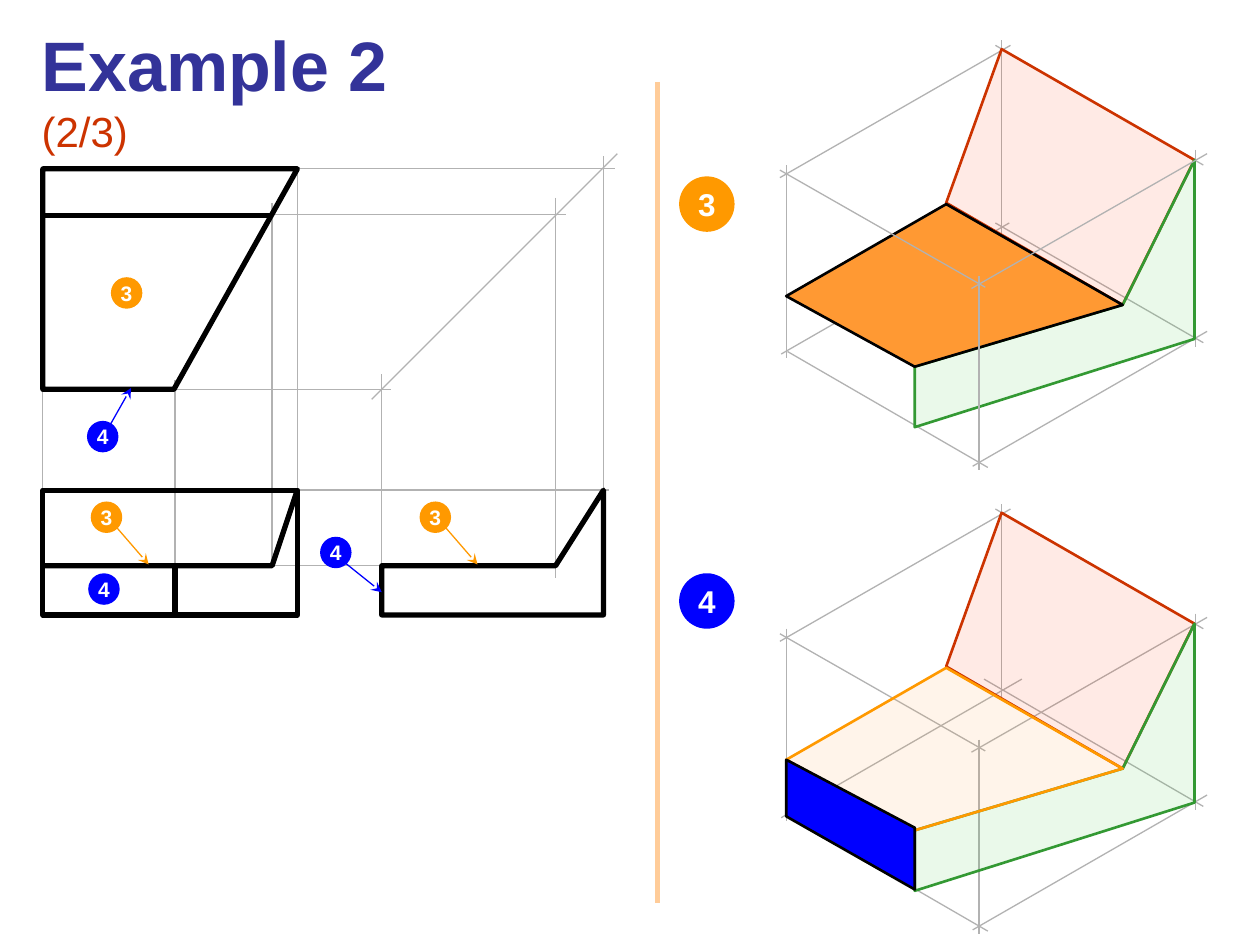
from dataclasses import dataclass
from typing import NamedTuple, Optional

from pptx import Presentation
from pptx.dml.color import RGBColor as RGB
from pptx.enum.shapes import MSO_CONNECTOR as Conn, MSO_SHAPE as Shape
from pptx.enum.text import MSO_ANCHOR as Anchor, MSO_AUTO_SIZE as AutoSize, PP_ALIGN as Align
from pptx.oxml.ns import qn
from pptx.util import Pt
from lxml.etree import SubElement

PX = 9144


@dataclass(frozen=True)
class Theme:
    font: str = "Arial"
    title: str = "333399"
    ink: str = "000000"
    white: str = "FFFFFF"
    guide: str = "B2B2B2"
    divider: str = "FFCC99"
    orange: str = "FF9900"
    blue: str = "0000FF"
    top_fill: str = "FF9933"
    back_fill: str = "FF3300"
    back_edge: str = "CC3300"
    side_fill: str = "33CC33"
    side_edge: str = "339933"
    title_pt: int = 40
    part_pt: int = 24
    big_pt: int = 18
    small_pt: int = 12
    thin: float = 0.75
    edge: float = 1.5
    thick: float = 3


T = Theme()


class Line(NamedTuple):
    x1: int
    y1: int
    x2: int
    y2: int
    color: str = T.guide
    width: float = T.thin
    arrow: bool = False


class Badge(NamedTuple):
    x: int
    y: int
    text: str
    size: int = 25
    pt: int = T.small_pt


class Face(NamedTuple):
    points: list[tuple[int, int]]
    edge: str = T.ink
    width: float = T.edge
    fill: Optional[str] = None
    alpha: int = 100
    close: bool = True


def draw_line(shapes, line: Line, dy: int = 0) -> None:
    """Draw a straight line, with a stealth arrowhead if asked."""
    ends = (line.x1, line.y1 + dy, line.x2, line.y2 + dy)
    c = shapes.add_connector(Conn.STRAIGHT, *(v * PX for v in ends))
    c.line.color.rgb = RGB.from_string(line.color)
    c.line.width = Pt(line.width)
    if line.arrow:
        SubElement(c.line._get_or_add_ln(), qn("a:tailEnd"), type="stealth")
    SubElement(c.element.spPr, qn("a:effectLst"))


def draw_face(shapes, face: Face, dy: int = 0) -> None:
    """Draw a polygon or an open polyline with round corners."""
    (x, y), *rest = [(x, y + dy) for x, y in face.points]
    fb = shapes.build_freeform(x, y, scale=PX)
    fb.add_line_segments(rest, close=face.close)
    sp = fb.convert_to_shape()
    sp.shadow.inherit = False
    if face.fill:
        sp.fill.solid()
        sp.fill.fore_color.rgb = RGB.from_string(face.fill)
        color = sp.element.spPr.find(qn("a:solidFill")).find(qn("a:srgbClr"))
        SubElement(color, qn("a:alpha"), val=str(face.alpha * 1000))
    else:
        sp.fill.background()
    sp.line.color.rgb = RGB.from_string(face.edge)
    sp.line.width = Pt(face.width)
    SubElement(sp.line._get_or_add_ln(), qn("a:round"))


def add_text(p, text: str, *, pt: int, color: str, bold: bool = True) -> None:
    """Append a formatted run to a paragraph."""
    r = p.add_run()
    r.text = text
    r.font.name, r.font.size, r.font.bold = T.font, Pt(pt), bold
    r.font.color.rgb = RGB.from_string(color)


def draw_badge(shapes, badge: Badge) -> None:
    """Draw a numbered disc in the colour of its face."""
    box = (badge.x, badge.y, badge.size, badge.size)
    sp = shapes.add_shape(Shape.OVAL, *(v * PX for v in box))
    sp.shadow.inherit = False
    sp.fill.solid()
    sp.fill.fore_color.rgb = RGB.from_string({"3": T.orange, "4": T.blue}[badge.text])
    sp.line.fill.background()
    tf = sp.text_frame
    tf.word_wrap, tf.vertical_anchor = False, Anchor.MIDDLE
    p = tf.paragraphs[0]
    p.alignment = Align.CENTER
    add_text(p, badge.text, pt=badge.pt, color=T.white)


def draw_title(sp) -> None:
    """Place and fill the title placeholder."""
    sp.left, sp.top, sp.width, sp.height = (v * PX for v in (23, 12, 378, 77))
    tf = sp.text_frame
    tf.word_wrap, tf.auto_size, tf.vertical_anchor = False, AutoSize.SHAPE_TO_FIT_TEXT, Anchor.TOP
    p = tf.paragraphs[0]
    p.alignment = Align.LEFT
    add_text(p, "Example 2 ", pt=T.title_pt, color=T.title)
    add_text(p, "(2/3)", pt=T.part_pt, color=T.back_edge, bold=False)


PROJECTION = [
    Line(441, 157, 441, 459), Line(34, 163, 34, 394), Line(139, 302, 139, 448),
    Line(216, 161, 216, 449), Line(236, 132, 236, 392), Line(209, 449, 302, 449),
    Line(295, 317, 490, 122), Line(132, 309, 310, 309), Line(303, 297, 303, 456),
    Line(236, 134, 488, 134), Line(479, 124, 479, 392), Line(203, 170, 449, 170),
    Line(236, 389, 483, 389),
]
VIEW_EDGES = [
    Line(34, 171, 216, 171, T.ink, T.thick),
    Line(139, 448, 139, 488, T.ink, T.thick),
    Line(522, 65, 522, 717, T.divider, T.thick),
]
VIEWS = [
    Face([(303, 488), (303, 449), (441, 449), (479, 389), (479, 488)], width=T.thick),
    Face([(34, 134), (34, 309), (138, 309), (236, 134)], width=T.thick),
    Face([(34, 389), (34, 488), (236, 488), (236, 389)], width=T.thick),
    Face([(33, 449), (216, 449), (236, 389)], width=T.thick, close=False),
]
POINTERS = [
    Line(83, 345, 104, 308, T.blue, arrow=True),
    Line(347, 411, 379, 448, T.orange, arrow=True),
    Line(86, 411, 118, 448, T.orange, arrow=True),
    Line(273, 446, 303, 470, T.blue, arrow=True),
]
BADGES = [
    Badge(70, 455, "4"), Badge(88, 220, "3"), Badge(254, 426, "4"),
    Badge(333, 398, "3"), Badge(72, 398, "3"), Badge(69, 334, "4"),
    Badge(539, 140, "3", 44, T.big_pt), Badge(539, 455, "4", 44, T.big_pt),
]

SOLID_STEP = 368
BOX = [
    Line(795, 32, 795, 187), Line(802, 36, 619, 141), Line(790, 36, 955, 131),
    Line(949, 119, 949, 275), Line(958, 263, 772, 370), Line(784, 371, 625, 279),
    Line(624, 131, 624, 284),
]
BOX_BACK_3 = [Line(801, 177, 620, 281), Line(955, 272, 790, 177)]
BOX_BACK_4 = [Line(811, 171, 620, 281), Line(955, 272, 781, 171)]
BOX_FRONT = [Line(958, 122, 771, 229), Line(619, 135, 782, 228), Line(777, 219, 777, 373)]
WALLS = [
    Face([(891, 242), (751, 161), (795, 39), (948, 127)], T.back_edge, fill=T.back_fill, alpha=10),
    Face([(726, 291), (726, 339), (948, 269), (948, 127), (891, 242)],
         T.side_edge, fill=T.side_fill, alpha=10),
]
TOP = [(624, 235), (726, 291), (891, 242), (751, 162)]
TOP_3 = Face(TOP, fill=T.top_fill)
TOP_4 = Face(TOP, T.orange, fill=T.top_fill, alpha=10)
FRONT_4 = Face([(726, 289), (624, 235), (624, 280), (726, 338)], fill=T.blue)


def draw_all(shapes, items: list, dy: int = 0) -> None:
    """Draw lines and faces in order, shifted down by dy."""
    for item in items:
        draw = draw_line if isinstance(item, Line) else draw_face
        draw(shapes, item, dy)


def main() -> None:
    """Build the slide and save it."""
    prs = Presentation()
    prs.slide_width, prs.slide_height = 1000 * PX, 750 * PX
    s = prs.slides.add_slide(prs.slide_layouts[5])
    draw_title(s.shapes.title)
    draw_all(s.shapes, PROJECTION + VIEW_EDGES + VIEWS + POINTERS)
    for badge in BADGES:
        draw_badge(s.shapes, badge)
    draw_all(s.shapes, BOX_BACK_3 + BOX + WALLS + [TOP_3] + BOX_FRONT)
    draw_all(s.shapes, BOX_BACK_4 + BOX + BOX_FRONT + WALLS + [TOP_4, FRONT_4], SOLID_STEP)
    prs.save("out.pptx")


if __name__ == "__main__":
    main()
